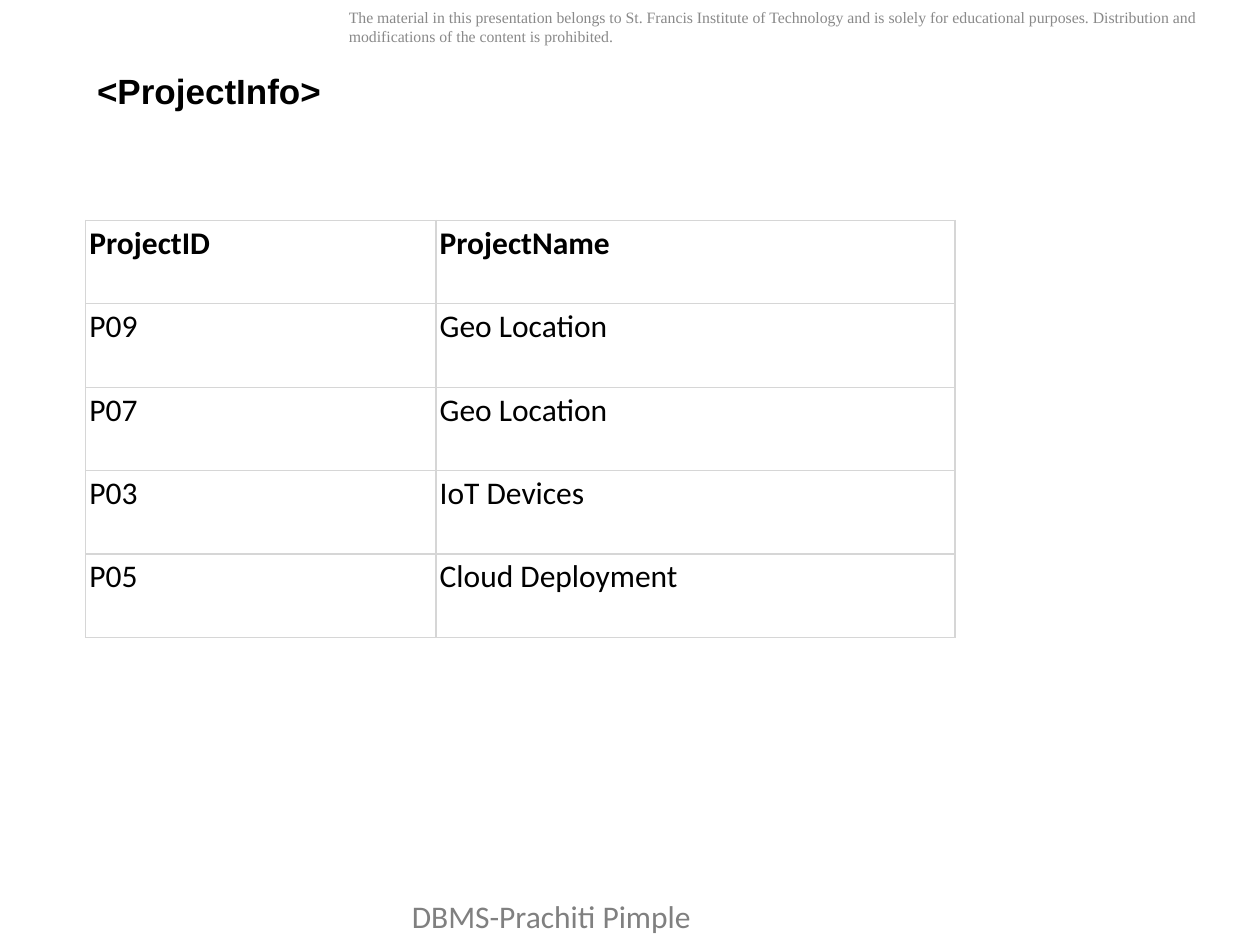
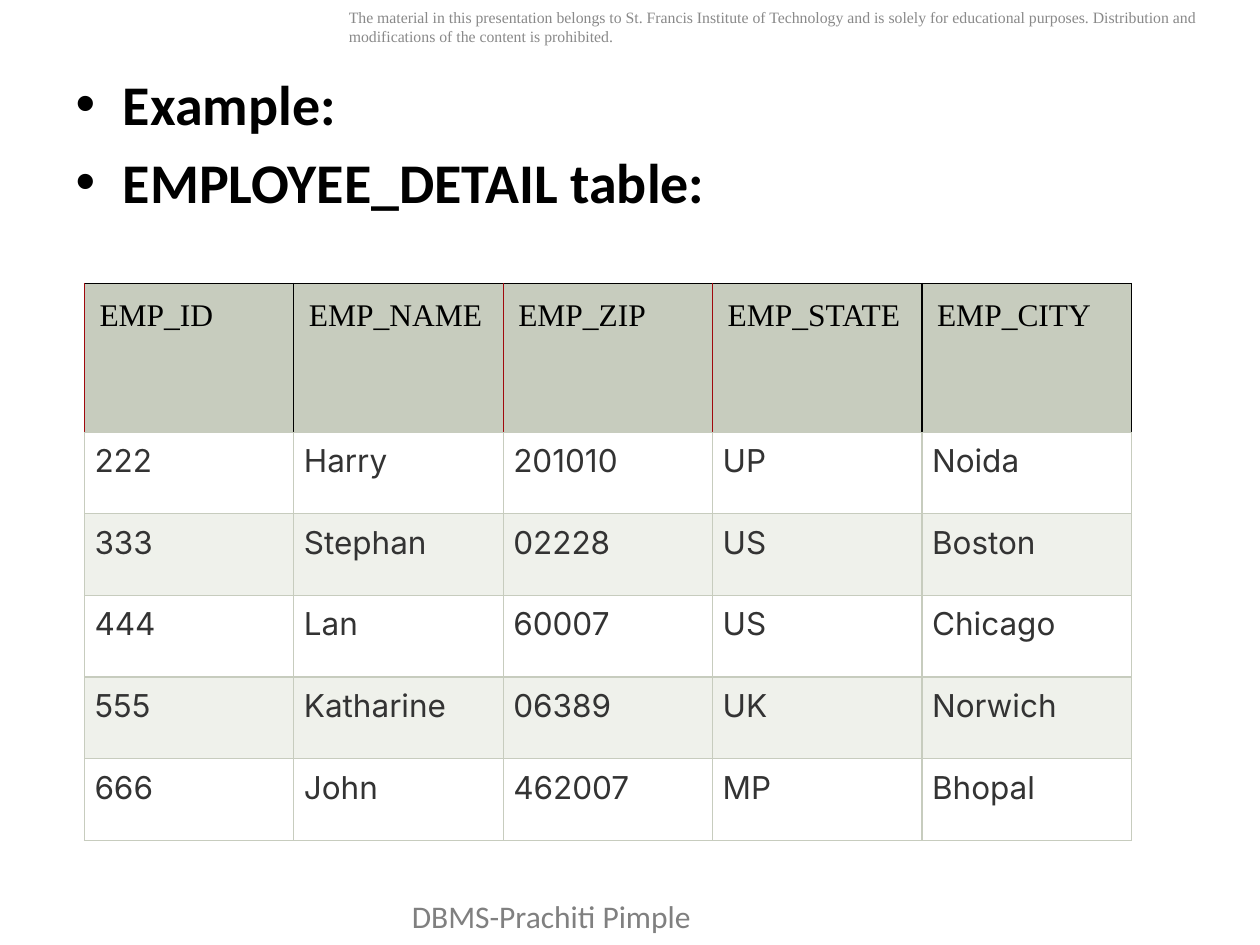
from lxml.etree import SubElement
from pptx import Presentation
from pptx.dml.color import RGBColor
from pptx.enum.text import MSO_ANCHOR, MSO_AUTO_SIZE, PP_ALIGN
from pptx.oxml.ns import qn
from pptx.util import Inches, Pt

COLORS = {
    "ink": "000000",
    "notice": "898989",
    "footer": "808080",
    "project_rule": "D6D6D6",
    "sage": "C7CCBE",
    "pale_sage": "EFF1EB",
    "white": "FFFFFF",
    "employee_text": "333333",
    "red_rule": "A0080D",
}
NOTICE = (
    "The material in this presentation belongs to St. Francis Institute of Technology "
    "and is solely for educational purposes. Distribution and modifications of the "
    "content is prohibited."
)
FOOTER = "DBMS-Prachiti Pimple"
PROJECTS = [
    ("ProjectID", "ProjectName"),
    ("P09", "Geo Location"),
    ("P07", "Geo Location"),
    ("P03", "IoT Devices"),
    ("P05", "Cloud Deployment"),
]
EMPLOYEES = [
    ("EMP_ID", "EMP_NAME", "EMP_ZIP", "EMP_STATE", "EMP_CITY"),
    ("222", "Harry", "201010", "UP", "Noida"),
    ("333", "Stephan", "02228", "US", "Boston"),
    ("444", "Lan", "60007", "US", "Chicago"),
    ("555", "Katharine", "06389", "UK", "Norwich"),
    ("666", "John", "462007", "MP", "Bhopal"),
]
HEADER_RULES = ["red_rule", "ink", "red_rule", "red_rule", "ink", "ink"]


def style_text(frame, font_name, size, color, bold=False, align=None):
    """Format every run of a text frame alike."""
    for paragraph in frame.paragraphs:
        paragraph.alignment = align
        for run in paragraph.runs:
            run.font.name = font_name
            run.font.size = Pt(size)
            run.font.bold = bold
            run.font.color.rgb = RGBColor.from_string(COLORS[color])


def place(shape, box):
    """Move a shape to a box of left, top, width and height in inches."""
    shape.left, shape.top, shape.width, shape.height = map(Inches, box)


def add_label(slide, box, text, font_name, size, color):
    """Add a wrapped line of text in the given box."""
    frame = slide.shapes.add_textbox(*map(Inches, box)).text_frame
    frame.word_wrap = True
    frame.text = text
    style_text(frame, font_name, size, color)


def add_page_furniture(slide):
    """Add the notice and the footer that every slide carries."""
    add_label(slide, (2.67, 0.01, 7.33, 0.71), NOTICE, "Times New Roman", 9, "notice")
    add_label(slide, (3.17, 7.07, 4.08, 0.4), FOOTER, "Calibri", 18, "footer")


def set_borders(cell, left, right, top, bottom):
    """Draw the four sides of a cell in the named colours."""
    properties = cell._tc.get_or_add_tcPr()
    for side, color in zip("LRTB", (left, right, top, bottom)):
        line = SubElement(properties, qn(f"a:ln{side}"), w=str(Pt(0.75)))
        fill = SubElement(line, qn("a:solidFill"))
        SubElement(fill, qn("a:srgbClr"), val=COLORS[color])


def add_grid(slide, box, records, column_widths, row_heights):
    """Add a plain table with its text and return it."""
    table = slide.shapes.add_table(
        len(records), len(records[0]), *map(Inches, box)
    ).table
    table.first_row = table.horz_banding = False
    for column, width in zip(table.columns, column_widths):
        column.width = Inches(width)
    for row, height, record in zip(table.rows, row_heights, records):
        row.height = Inches(height)
        for cell, value in zip(row.cells, record):
            cell.text_frame.text = value
    return table


def set_insets(cell, inset):
    """Give a cell the same inset on all sides."""
    cell.margin_left = cell.margin_right = Inches(inset)
    cell.margin_top = cell.margin_bottom = Inches(inset)


def add_project_table(slide, box):
    """Add the project list with thin grey rules."""
    width, height = box[2:]
    table = add_grid(
        slide, box, PROJECTS, (2.78, width - 2.78),
        [height / len(PROJECTS)] * len(PROJECTS),
    )
    for index, row in enumerate(table.rows):
        for cell in row.cells:
            set_insets(cell, 0.03)
            set_borders(cell, *["project_rule"] * 4)
            cell.fill.background()
            style_text(cell.text_frame, "Calibri", 18, "ink", bold=index == 0)


def add_employee_table(slide, box):
    """Add the employee details with a sage header and banded rows."""
    width, height = box[2:]
    columns, body_rows, header_height = len(EMPLOYEES[0]), len(EMPLOYEES) - 1, 1.18
    body_height = (height - header_height) / body_rows
    table = add_grid(
        slide, box, EMPLOYEES, [width / columns] * columns,
        [header_height] + [body_height] * body_rows,
    )
    for index, row in enumerate(table.rows):
        for column, cell in enumerate(row.cells):
            if index == 0:
                fill = "sage"
                set_insets(cell, 0.12)
                set_borders(cell, *HEADER_RULES[column:column + 2], "ink", "sage")
                style_text(cell.text_frame, "Times New Roman", 18, "ink")
            else:
                fill = "white" if index % 2 else "pale_sage"
                set_insets(cell, 0.08)
                set_borders(cell, *["sage"] * 4)
                style_text(cell.text_frame, "Inter", 18, "employee_text",
                           align=PP_ALIGN.JUSTIFY)
            cell.fill.solid()
            cell.fill.fore_color.rgb = RGBColor.from_string(COLORS[fill])


def build_project_slide(deck):
    """Build the slide that lists the projects."""
    slide = deck.slides.add_slide(deck.slide_layouts[5])
    add_page_furniture(slide)
    add_project_table(slide, (0.68, 1.75, 6.9, 3.31))
    heading = slide.shapes.title
    place(heading, (0.67, 0.5, 1.99, 0.44))
    frame = heading.text_frame
    frame.text = "<ProjectInfo>"
    frame.word_wrap = False
    frame.auto_size = MSO_AUTO_SIZE.NONE
    frame.vertical_anchor = MSO_ANCHOR.MIDDLE
    style_text(frame, "Arial", 20, "ink", bold=True, align=PP_ALIGN.LEFT)


def build_employee_slide(deck):
    """Build the slide that shows the employee example."""
    slide = deck.slides.add_slide(deck.slide_layouts[1])
    heading = slide.shapes.title
    heading.element.getparent().remove(heading.element)
    add_page_furniture(slide)
    example = slide.placeholders[1]
    place(example, (0.5, 0.5, 9, 6.2))
    frame = example.text_frame
    frame.text = "Example:\nEMPLOYEE_DETAIL table:"
    frame.auto_size = MSO_AUTO_SIZE.NONE
    frame.paragraphs[0].space_before = Pt(0)
    style_text(frame, "Calibri", 32, "ink", bold=True)
    add_employee_table(slide, (0.67, 2.25, 8.31, 4.42))


def main():
    """Build and save the presentation."""
    deck = Presentation()
    deck.slide_width, deck.slide_height = Inches(10), Inches(7.5)
    build_project_slide(deck)
    build_employee_slide(deck)
    deck.save("out.pptx")


if __name__ == "__main__":
    main()
